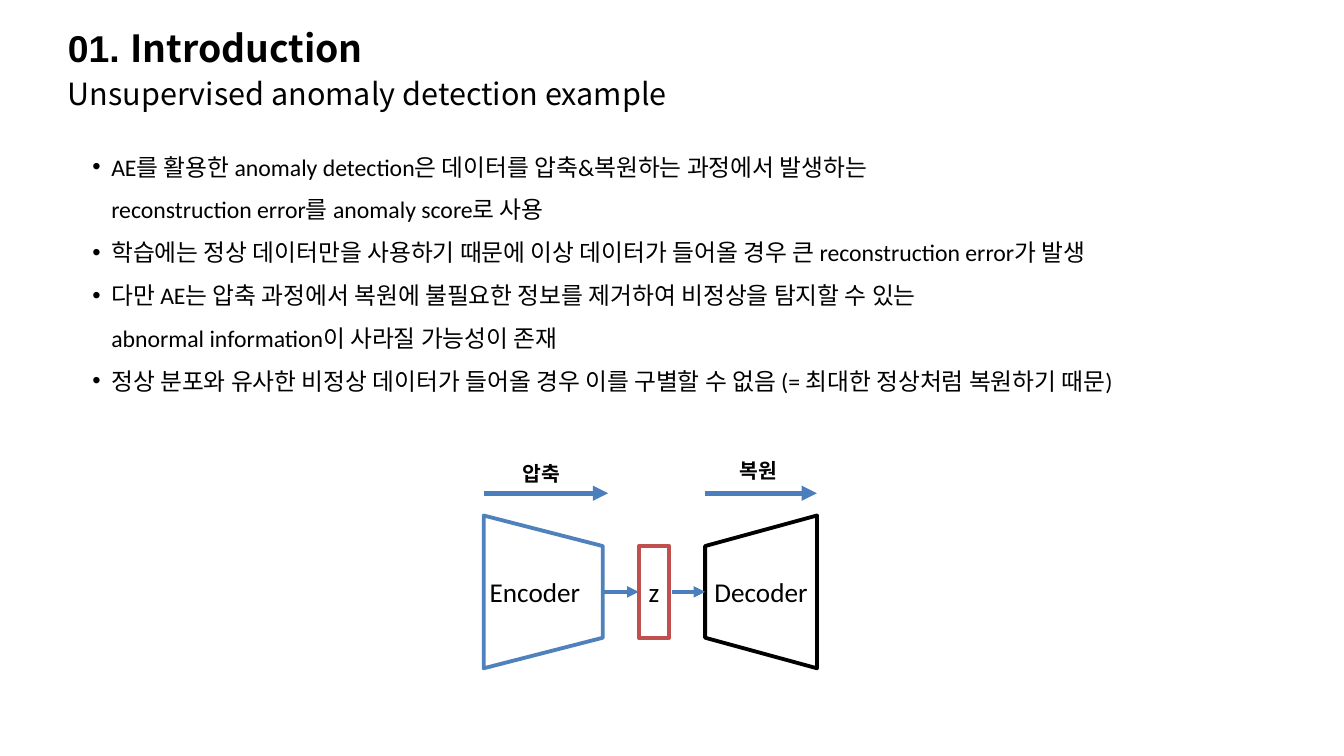
from lxml.etree import SubElement
from pptx import Presentation
from pptx.dml.color import RGBColor
from pptx.enum.shapes import MSO_CONNECTOR, MSO_SHAPE
from pptx.enum.text import MSO_ANCHOR, MSO_AUTO_SIZE, PP_ALIGN
from pptx.oxml.ns import qn
from pptx.util import Cm, Pt

BLACK, WHITE, BLUE, RED, ARROW_BLUE = "000000", "FFFFFF", "4F81BD", "C0504D", "4B7EBC"
HEADING_FONT = "Noto Sans CJK KR"
BULLETS = [
    "AE를 활용한 anomaly detection은 데이터를 압축&복원하는 과정에서 발생하는\n"
    "reconstruction error를 anomaly score로 사용",
    "학습에는 정상 데이터만을 사용하기 때문에 이상 데이터가 들어올 경우 큰 reconstruction error가 발생",
    "다만 AE는 압축 과정에서 복원에 불필요한 정보를 제거하여 비정상을 탐지할 수 있는\n"
    "abnormal information이 사라질 가능성이 존재",
    "정상 분포와 유사한 비정상 데이터가 들어올 경우 이를 구별할 수 없음 (= 최대한 정상처럼 복원하기 때문)",
]


def color(hex_string):
    """Turn a hex string into a colour."""
    return RGBColor.from_string(hex_string)


def write_text(paragraph, text, font="Calibri", size=32, bold=False, align=PP_ALIGN.LEFT):
    """Append formatted text to a paragraph, breaking lines at newlines."""
    paragraph.alignment = align
    for index, line in enumerate(text.split("\n")):
        if index:
            line_break = SubElement(paragraph._p, qn("a:br"))
            SubElement(line_break, qn("a:rPr"), sz=str(size * 100))
        run = paragraph.add_run()
        run.text = line
        run.font.name = font
        run.font.size = Pt(size)
        run.font.bold = bold
        run.font.color.rgb = color(BLACK)


def place(shape, left, top, width, height):
    """Move and size a shape, in centimetres."""
    shape.left, shape.top = Cm(left), Cm(top)
    shape.width, shape.height = Cm(width), Cm(height)


def set_frame(frame, margins=None, wrap=True):
    """Anchor a text frame at the top and set its margins and wrapping."""
    frame.auto_size = MSO_AUTO_SIZE.NONE
    frame.vertical_anchor = MSO_ANCHOR.TOP
    frame.word_wrap = wrap
    if margins is not None:
        frame.margin_left = frame.margin_top = frame.margin_right = frame.margin_bottom = Cm(margins)


def add_label(slide, text, left, top, width, height, margins=None, wrap=True, **text_format):
    """Add a text box holding one line."""
    box = slide.shapes.add_textbox(Cm(left), Cm(top), Cm(width), Cm(height))
    set_frame(box.text_frame, margins, wrap)
    write_text(box.text_frame.paragraphs[0], text, **text_format)


def add_heading(slide, left, top, width):
    """Fill the title placeholder and add the subtitle below it."""
    title = slide.shapes.title
    place(title, left, top, width, 1.93)
    set_frame(title.text_frame, margins=0)
    paragraph = title.text_frame.paragraphs[0]
    write_text(paragraph, "01. ", font="Arial", size=44, bold=True)
    write_text(paragraph, "Introduction", font=HEADING_FONT, size=44, bold=True)
    add_label(slide, "Unsupervised anomaly detection example", left, top + 2.06, width, 1.57,
              margins=0, font=HEADING_FONT, size=36)


def add_bullets(slide, left, top, width, height):
    """Fill the body placeholder with the bulleted list."""
    body = slide.placeholders[1]
    place(body, left, top, width, height)
    frame = body.text_frame
    set_frame(frame)
    for index, text in enumerate(BULLETS):
        paragraph = frame.add_paragraph() if index else frame.paragraphs[0]
        paragraph.line_spacing = 1.5
        paragraph.space_before = Pt(0)
        properties = paragraph._p.get_or_add_pPr()
        properties.set("marL", str(Cm(0.79)))
        properties.set("indent", str(-Cm(0.79)))
        SubElement(properties, qn("a:buFont"), typeface="Arial")
        SubElement(properties, qn("a:buChar"), char="•")
        write_text(paragraph, text, size=28)


def add_block(slide, text, left, middle, width, height, line, rotation=0, direction="horz"):
    """Add an outlined block; a quarter turn makes it a sideways trapezoid."""
    kind = MSO_SHAPE.FLOWCHART_MANUAL_OPERATION if rotation else MSO_SHAPE.RECTANGLE
    across, down = (height, width) if rotation else (width, height)
    shape = slide.shapes.add_shape(kind, Cm(left + (width - across) / 2), Cm(middle - down / 2),
                                   Cm(across), Cm(down))
    shape.rotation = rotation
    shape.shadow.inherit = False
    shape.fill.solid()
    shape.fill.fore_color.rgb = color(WHITE)
    shape.line.color.rgb = color(line)
    shape.line.width = Pt(4.5)
    frame = shape.text_frame
    frame.vertical_anchor = MSO_ANCHOR.MIDDLE
    frame._txBody.bodyPr.set("vert", direction)
    write_text(frame.paragraphs[0], text, align=PP_ALIGN.CENTER)


def add_arrow(slide, start, end, y, weight):
    """Add a horizontal arrow pointing right."""
    arrow = slide.shapes.add_connector(MSO_CONNECTOR.STRAIGHT, Cm(start), Cm(y), Cm(end), Cm(y))
    arrow.line.color.rgb = color(ARROW_BLUE)
    arrow.line.width = Pt(weight)
    SubElement(arrow.line._get_or_add_ln(), qn("a:tailEnd"), type="triangle")
    SubElement(arrow._element.spPr, qn("a:effectLst"))


def add_autoencoder(slide, left, top):
    """Draw the encoder, the code z and the decoder with their arrows."""
    middle = top + 5.7
    decoder = left + 9.2
    add_block(slide, "Decoder", decoder, middle, 4.65, 6.35, BLACK, 90, "vert270")
    add_block(slide, "z", left + 6.44, middle, 1.27, 3.81, RED)
    add_block(slide, "Encoder", left, middle, 4.95, 6.35, BLUE, 270, "eaVert")
    add_arrow(slide, left + 4.95, left + 6.44, middle, 4.5)
    add_arrow(slide, left + 7.84, decoder, middle, 4.5)
    add_arrow(slide, left, left + 5.17, top + 1.6, 6)
    add_arrow(slide, decoder, decoder + 4.65, top + 1.6, 6)
    for text, x, y in (("압축", left + 1.36, top + 0.12), ("복원", left + 10.4, top)):
        add_label(slide, text, x, y, 2.24, 1.27, wrap=False, size=24, bold=True)


def main():
    """Build the slide and save it."""
    presentation = Presentation()
    presentation.slide_width, presentation.slide_height = Cm(55.85), Cm(31.42)
    slide = presentation.slides.add_slide(presentation.slide_layouts[1])
    add_heading(slide, 2.82, 1.04, 31.22)
    add_bullets(slide, 3.58, 5.61, 46.71, 11.02)
    add_autoencoder(slide, 20.1, 18.9)
    presentation.save("out.pptx")


if __name__ == "__main__":
    main()
